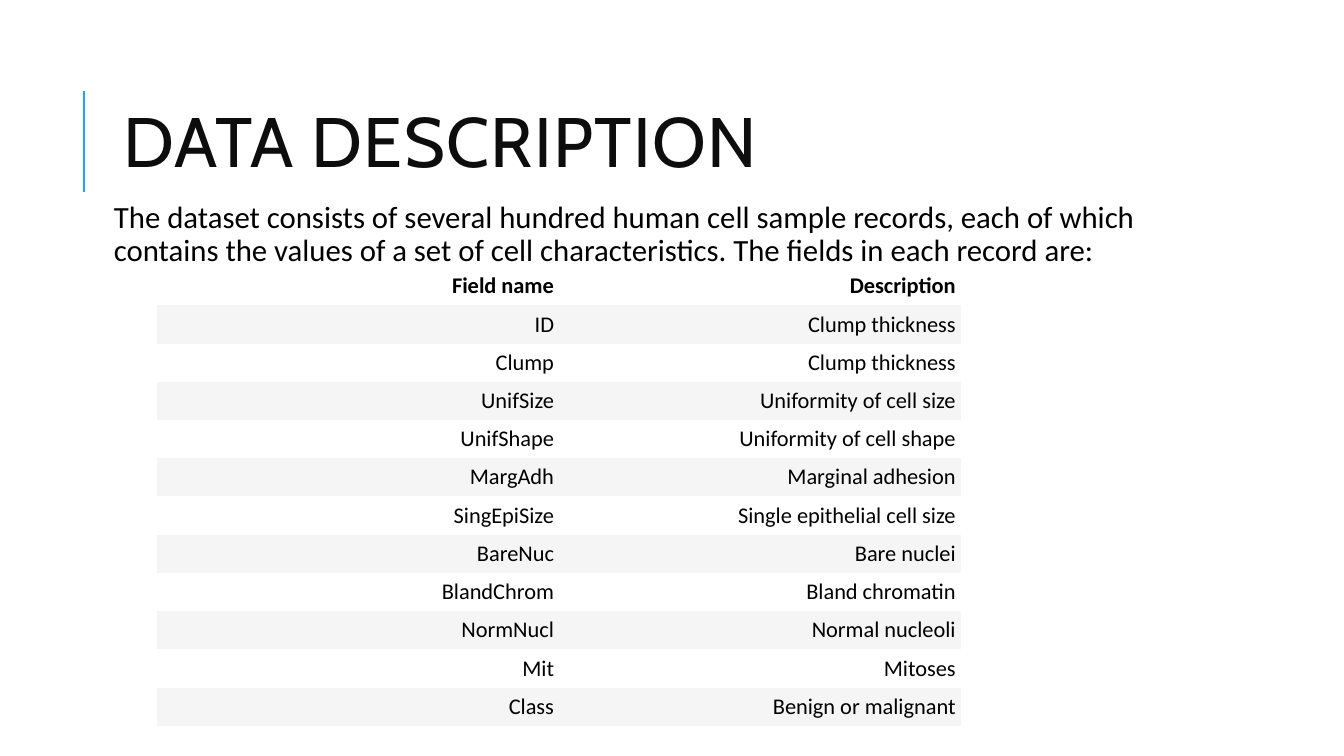
from pptx import Presentation, util as u
from pptx.dml.color import RGBColor
from pptx.enum import shapes, text
from pptx.oxml import ns
from lxml import etree

NO_STYLE_NO_GRID = "{2D5ABB26-0587-4C30-8999-92F81FD0307C}"
FIELDS = [
    ("Field name", "Description"),
    ("ID", "Clump thickness"),
    ("Clump", "Clump thickness"),
    ("UnifSize", "Uniformity of cell size"),
    ("UnifShape", "Uniformity of cell shape"),
    ("MargAdh", "Marginal adhesion"),
    ("SingEpiSize", "Single epithelial cell size"),
    ("BareNuc", "Bare nuclei"),
    ("BlandChrom", "Bland chromatin"),
    ("NormNucl", "Normal nucleoli"),
    ("Mit", "Mitoses"),
    ("Class", "Benign or malignant"),
]


def color(value):
    return RGBColor.from_string(value)


def place(shape, left, top, width, height):
    shape.left, shape.top = u.Inches(left), u.Inches(top)
    shape.width, shape.height = u.Inches(width), u.Inches(height)


def set_margins(target, margin):
    target.margin_left = target.margin_right = u.Inches(margin)
    target.margin_top = target.margin_bottom = u.Inches(margin)


def format_run(paragraph, size, font_name, font_color, bold=False):
    font = paragraph.runs[0].font
    font.size, font.name, font.bold = u.Pt(size), font_name, bold
    font.color.rgb = color(font_color)


def add_accent_line(slide, left, top, height):
    line = slide.shapes.add_connector(
        shapes.MSO_CONNECTOR.STRAIGHT,
        u.Inches(left), u.Inches(top + height), u.Inches(left), u.Inches(top))
    line.line.color.rgb = color("1CADE4")
    line.line.width = u.Pt(1.5)
    etree.SubElement(line.element.spPr, ns.qn("a:effectLst"))


def fill_title(slide, left, top, width, height):
    title = slide.shapes.title
    place(title, left, top, width, height)
    frame = title.text_frame
    frame.text = "DATA DESCRIPTION"
    frame.auto_size = text.MSO_AUTO_SIZE.NONE
    frame.vertical_anchor = text.MSO_ANCHOR.MIDDLE
    paragraph = frame.paragraphs[0]
    paragraph.alignment = text.PP_ALIGN.LEFT
    paragraph.line_spacing = 0.8
    format_run(paragraph, 50, "Cabin", "0D0D0D")
    paragraph.runs[0].font._element.set("spc", "100")


def set_blank_bullet(paragraph, indent):
    properties = paragraph._p.get_or_add_pPr()
    properties.set("marL", str(u.Inches(indent)))
    properties.set("indent", str(-u.Inches(indent)))
    bullet_color = etree.SubElement(properties, ns.qn("a:buClr"))
    etree.SubElement(bullet_color, ns.qn("a:srgbClr"), val="1CADE4")
    etree.SubElement(properties, ns.qn("a:buChar"), char=" ")


def fill_body(slide, left, top, width, height):
    body = slide.placeholders[1]
    place(body, left, top, width, height)
    frame = body.text_frame
    frame.text = (
        "The dataset consists of several hundred human cell sample records, "
        "each of which contains the values of a set of cell characteristics. "
        "The fields in each record are:")
    frame.auto_size = text.MSO_AUTO_SIZE.NONE
    frame.vertical_anchor = text.MSO_ANCHOR.TOP
    set_margins(frame, 0.05)
    paragraph = frame.paragraphs[0]
    paragraph.alignment = text.PP_ALIGN.LEFT
    paragraph.line_spacing = 0.9
    paragraph.space_before, paragraph.space_after = u.Pt(12), u.Pt(2)
    set_blank_bullet(paragraph, 0.1)
    format_run(paragraph, 22, "Calibri", "000000")


def fill_cell(cell, words, is_header, is_shaded):
    cell.text = words
    cell.vertical_anchor = text.MSO_ANCHOR.MIDDLE
    set_margins(cell, 0.05)
    paragraph = cell.text_frame.paragraphs[0]
    paragraph.alignment = text.PP_ALIGN.RIGHT
    format_run(paragraph, 16, "Calibri", "000000", is_header)
    if is_shaded:
        cell.fill.solid()
        cell.fill.fore_color.rgb = color("F5F5F5")
    else:
        cell.fill.background()


def add_field_table(slide, left, top, width, height):
    graphic_frame = slide.shapes.add_table(
        len(FIELDS), len(FIELDS[0]),
        u.Inches(left), u.Inches(top), u.Inches(width), u.Inches(height))
    table = graphic_frame.table
    table.horz_banding = False
    style = next(graphic_frame.element.iter(ns.qn("a:tableStyleId")))
    style.text = NO_STYLE_NO_GRID
    for row_index, row in enumerate(FIELDS):
        for column_index, words in enumerate(row):
            fill_cell(table.cell(row_index, column_index), words,
                      row_index == 0, row_index % 2 == 1)


def build_data_description(presentation):
    slide = presentation.slides.add_slide(presentation.slide_layouts[1])
    slide.background.fill.solid()
    slide.background.fill.fore_color.rgb = color("FFFFFF")
    add_accent_line(slide, 0.83, 0.9, 1)
    fill_title(slide, 1.12, 0.64, 10.63, 1.64)
    fill_body(slide, 0.98, 1.95, 10.63, 4.4)
    add_field_table(slide, 1.56, 2.65, 7.97, 4.55)


presentation = Presentation()
presentation.slide_width = u.Inches(13.33)
presentation.slide_height = u.Inches(7.5)
build_data_description(presentation)
presentation.save("out.pptx")
